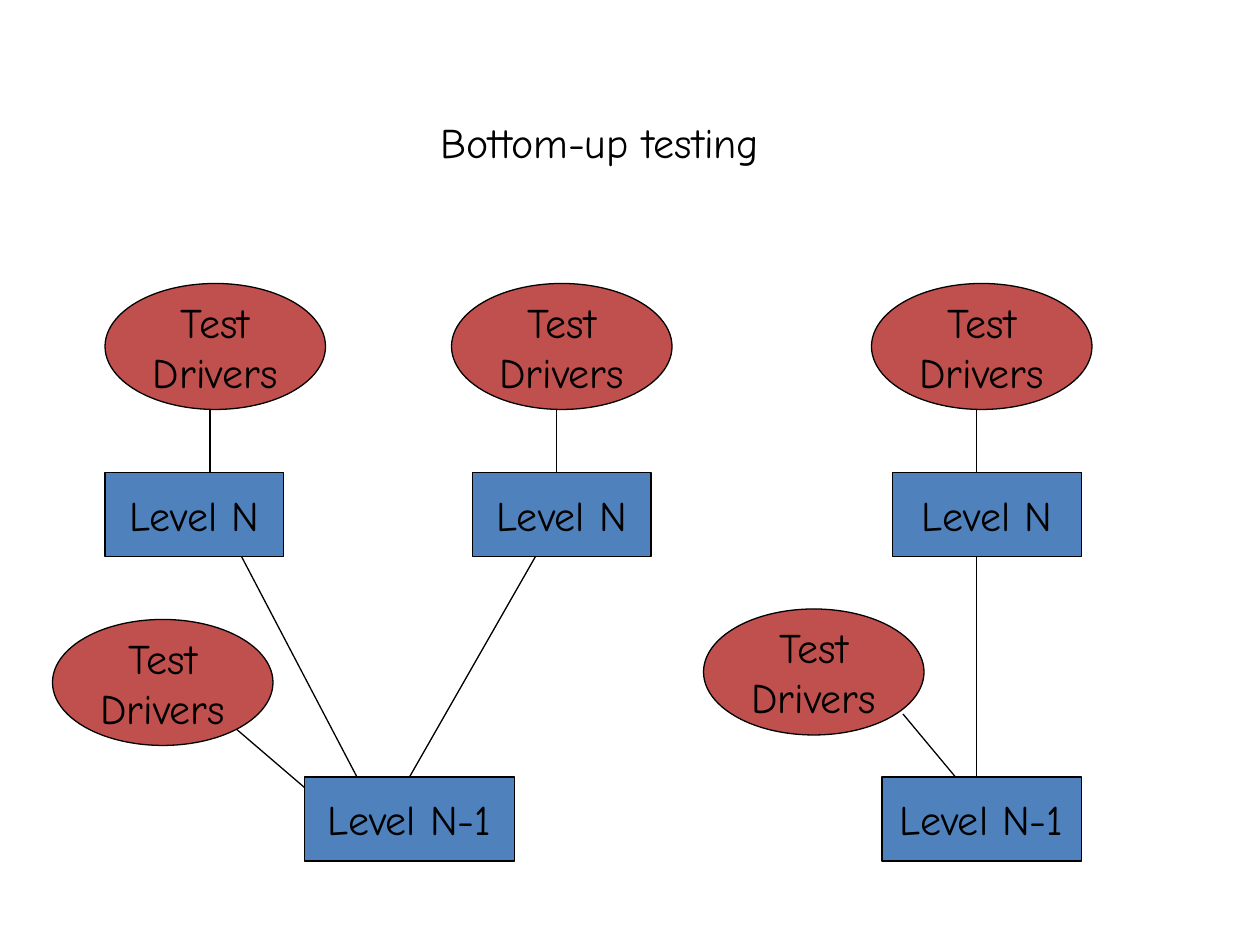
from pptx import Presentation
from pptx.dml.color import RGBColor
from pptx.enum.shapes import MSO_CONNECTOR, MSO_SHAPE
from pptx.enum.text import MSO_ANCHOR, PP_ALIGN
from pptx.oxml.ns import qn
from pptx.util import Pt
from lxml import etree

RECT, OVAL = MSO_SHAPE.RECTANGLE, MSO_SHAPE.OVAL
LINE = MSO_CONNECTOR.STRAIGHT
LEFT, CENTER = PP_ALIGN.LEFT, PP_ALIGN.CENTER
TOP, MIDDLE = MSO_ANCHOR.TOP, MSO_ANCHOR.MIDDLE
PX = 9525
BLACK, BLUE, RED = "000000", "4F81BD", "C0504D"


def color(fmt, value):
    fmt.rgb = RGBColor.from_string(value)


def write(shape, lines, align, anchor):
    frame = shape.text_frame
    frame.word_wrap = False
    frame.vertical_anchor = anchor
    for i, text in enumerate(lines):
        para = frame.add_paragraph() if i else frame.paragraphs[0]
        para.alignment = align
        run = para.add_run()
        run.text = text
        run.font.name = "Comic Neue"
        run.font.size = Pt(24)
        color(run.font.color, BLACK)


deck = Presentation()
deck.slide_width, deck.slide_height = 960 * PX, 720 * PX
slide = deck.slides.add_slide(deck.slide_layouts[5])
shapes = slide.shapes

title = shapes.title
title.left, title.top = 326 * PX, 84 * PX
title.width, title.height = 291 * PX, 48 * PX
write(title, ["Bottom-up testing"], LEFT, TOP)

links = [
    (160, 312, 160, 360),
    (424, 312, 424, 360),
    (744, 312, 744, 360),
    (744, 424, 744, 592),
    (688, 544, 728, 592),
    (184, 424, 272, 592),
    (408, 424, 312, 592),
    (176, 552, 232, 600),
]
for ends in links:
    link = shapes.add_connector(LINE, *[n * PX for n in ends])
    color(link.line.color, BLACK)
    link.line.width = Pt(0.75)
    etree.SubElement(link._element.spPr, qn("a:effectLst"))

levels = [
    (80, 360, 136, "Level N"),
    (360, 360, 136, "Level N"),
    (680, 360, 144, "Level N"),
    (232, 592, 160, "Level N-1"),
    (672, 592, 152, "Level N-1"),
]
drivers = [(80, 216), (344, 216), (664, 216), (40, 472), (536, 464)]
nodes = [(RECT, x, y, w, 64, BLUE, [text]) for x, y, w, text in levels]
nodes += [(OVAL, x, y, 168, 96, RED, ["Test", "Drivers"]) for x, y in drivers]
for kind, x, y, w, h, fill, lines in nodes:
    node = shapes.add_shape(kind, x * PX, y * PX, w * PX, h * PX)
    node.shadow.inherit = False
    node.fill.solid()
    color(node.fill.fore_color, fill)
    color(node.line.color, BLACK)
    node.line.width = Pt(0.75)
    write(node, lines, CENTER, MIDDLE)

deck.save("out.pptx")
